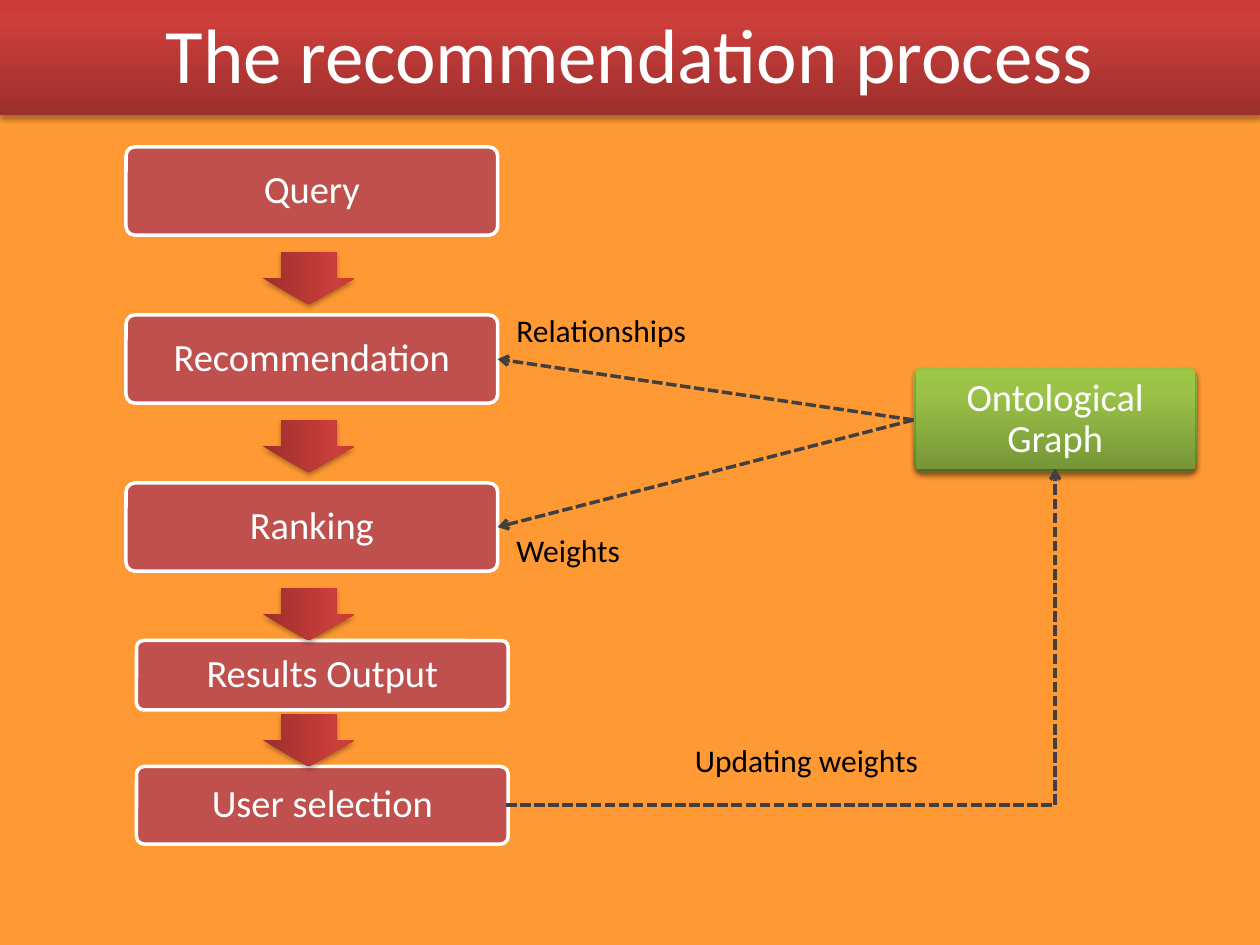
from typing import NamedTuple

from lxml import etree
from pptx import Presentation
from pptx import util as u
from pptx.dml.color import RGBColor
from pptx.enum import dml, shapes, text
from pptx.oxml import parse_xml
from pptx.oxml.ns import nsdecls, qn

UNIT = u.Inches(1 / 12)  # the slide is a grid of 120 columns by 90 rows
COLUMNS, ROWS = 120, 90

WHITE, BLACK, GREY = "FFFFFF", "000000", "404040"
ORANGE, BRICK = "FF9934", "C0504D"
RED_FADE = ((0, "9C2F2D"), (80, "CB3E3A"), (100, "CE3B37"))
GREEN_FADE = ((0, "779737"), (80, "9BC348"), (100, "9DC746"))


class Area(NamedTuple):
    column: float
    row: float
    columns: float
    rows: float


class Step(NamedTuple):
    label: str
    area: Area


class Label(NamedTuple):
    words: str
    area: Area


STEP_COLUMNS = 35.4
STEPS = (
    Step("Query", Area(12, 14, STEP_COLUMNS, 8.4)),
    Step("Recommendation", Area(12, 30, STEP_COLUMNS, 8.4)),
    Step("Ranking", Area(12, 46, STEP_COLUMNS, 8.4)),
    Step("Results Output", Area(13, 61, STEP_COLUMNS, 6.6)),
    Step("User selection", Area(13, 73, STEP_COLUMNS, 7.4)),
)
GRAPH = Area(87, 35, 27, 10)
GRAPH_TEXT = Area(87.2, 35.25, 26.6, 9.4)
ARROW_COLUMN, ARROW_LENGTH, ARROW_BREADTH = 29.4, 5, 8.75
ARROW_ROWS = (26.5, 42.5, 58.5, 70.5)
LABELS = (
    Label("Relationships", Area(48, 29, 23, 4.8)),
    Label("Weights", Area(48, 50, 23, 4.8)),
    Label("Updating weights", Area(65, 70, 27, 4.8)),
)


def rgb(code: str) -> RGBColor:
    return RGBColor.from_string(code)


def place(area: Area) -> list[int]:
    return [round(UNIT * length) for length in area]


def write(shape, words: str, *, size: float, color: str, align=None,
          anchor=text.MSO_ANCHOR.MIDDLE, inset: float | None = None,
          spacing: float | None = None) -> None:
    frame = shape.text_frame
    frame.word_wrap = True
    frame.vertical_anchor = anchor
    if inset is not None:
        frame.margin_left = frame.margin_right = u.Inches(inset)
        frame.margin_top = frame.margin_bottom = u.Inches(inset)
    para = frame.paragraphs[0]
    para.alignment = align
    para.line_spacing = spacing
    span = para.add_run()
    span.text = words
    span.font.name = "Calibri"
    span.font.size = u.Pt(size)
    span.font.color.rgb = rgb(color)


def write_step(shape, words: str) -> None:
    write(shape, words, size=22, color=WHITE, align=text.PP_ALIGN.CENTER,
          inset=0.09, spacing=0.9)


def add_glossy(page, kind, area: Area, fade):
    """Add a shape with a bottom-to-top gradient and a soft shadow below."""
    shape = page.shapes.add_shape(kind, *place(area))
    shape.fill.gradient()
    gradient = shape._element.spPr.find(qn("a:gradFill"))
    stops = gradient.find(qn("a:gsLst"))
    for stop in list(stops):
        stops.remove(stop)
    for share, color in fade:
        stops.append(parse_xml(
            f'<a:gs {nsdecls("a")} pos="{share * 1000}">'
            f'<a:srgbClr val="{color}"/></a:gs>'))
    shape.fill.gradient_angle = 90
    shape.line.fill.background()
    shape.shadow.inherit = False
    shape._element.spPr.find(qn("a:effectLst")).append(parse_xml(
        f'<a:outerShdw {nsdecls("a")} blurRad="{u.Pt(3.1)}" dist="{u.Pt(1.8)}" '
        f'dir="5400000" rotWithShape="0"><a:srgbClr val="{BLACK}">'
        '<a:alpha val="35000"/></a:srgbClr></a:outerShdw>'))
    return shape


def add_step(page, step: Step):
    box = page.shapes.add_shape(shapes.MSO_SHAPE.ROUNDED_RECTANGLE, *place(step.area))
    box.adjustments[0] = 0.1
    box.fill.solid()
    box.fill.fore_color.rgb = rgb(BRICK)
    box.line.color.rgb = rgb(WHITE)
    box.line.width = u.Pt(2)
    box.shadow.inherit = False
    write_step(box, step.label)
    return box


def add_down_arrow(page, middle_row: float) -> None:
    area = Area(ARROW_COLUMN - ARROW_LENGTH / 2, middle_row - ARROW_BREADTH / 2,
                ARROW_LENGTH, ARROW_BREADTH)
    arrow = add_glossy(page, shapes.MSO_SHAPE.RIGHT_ARROW, area, RED_FADE)
    arrow.adjustments[0], arrow.adjustments[1] = 0.6, 0.5
    arrow.rotation = 90


def add_dashed_link(page, kind, start=(0, 0), end=(0, 0)):
    ends = [round(UNIT * length) for length in (*start, *end)]
    link = page.shapes.add_connector(kind, *ends)
    link.line.color.rgb = rgb(GREY)
    link.line.width = u.Pt(2)
    link.line.dash_style = dml.MSO_LINE.SQUARE_DOT
    properties = link._element.spPr
    etree.SubElement(properties.find(qn("a:ln")), qn("a:tailEnd"), type="arrow")
    etree.SubElement(properties, qn("a:effectLst"))
    return link


def build() -> None:
    deck = Presentation()
    deck.slide_width, deck.slide_height = UNIT * COLUMNS, UNIT * ROWS
    page = deck.slides.add_slide(deck.slide_layouts[6])
    page.background.fill.solid()
    page.background.fill.fore_color.rgb = rgb(ORANGE)

    add_glossy(page, shapes.MSO_SHAPE.RECTANGLE, Area(0, 0, COLUMNS, 11), RED_FADE)
    title = page.shapes.add_textbox(*place(Area(6, 0, COLUMNS - 12, 10)))
    write(title, "The recommendation process", size=44, color=WHITE,
          align=text.PP_ALIGN.CENTER)

    boxes = {step.label: add_step(page, step) for step in STEPS}

    graph = add_glossy(page, shapes.MSO_SHAPE.ROUNDED_RECTANGLE, GRAPH, GREEN_FADE)
    graph.adjustments[0] = 0.1
    panel = add_glossy(page, shapes.MSO_SHAPE.RECTANGLE, GRAPH_TEXT, GREEN_FADE)
    write_step(panel, "Ontological Graph")

    for row in ARROW_ROWS:
        add_down_arrow(page, row)

    for target in ("Recommendation", "Ranking"):
        link = add_dashed_link(page, shapes.MSO_CONNECTOR.STRAIGHT)
        link.begin_connect(graph, 1)
        link.end_connect(boxes[target], 3)

    last = STEPS[-1].area
    feedback = add_dashed_link(
        page, shapes.MSO_CONNECTOR.ELBOW,
        start=(last.column + last.columns - 0.2, last.row + last.rows / 2),
        end=(GRAPH.column + GRAPH.columns / 2, GRAPH_TEXT.row + GRAPH_TEXT.rows))
    feedback._element.spPr.find(qn("a:prstGeom")).set("prst", "bentConnector2")

    for label in LABELS:
        box = page.shapes.add_textbox(*place(label.area))
        write(box, label.words, size=18, color=BLACK, anchor=text.MSO_ANCHOR.TOP)

    deck.save("out.pptx")


if __name__ == "__main__":
    build()
